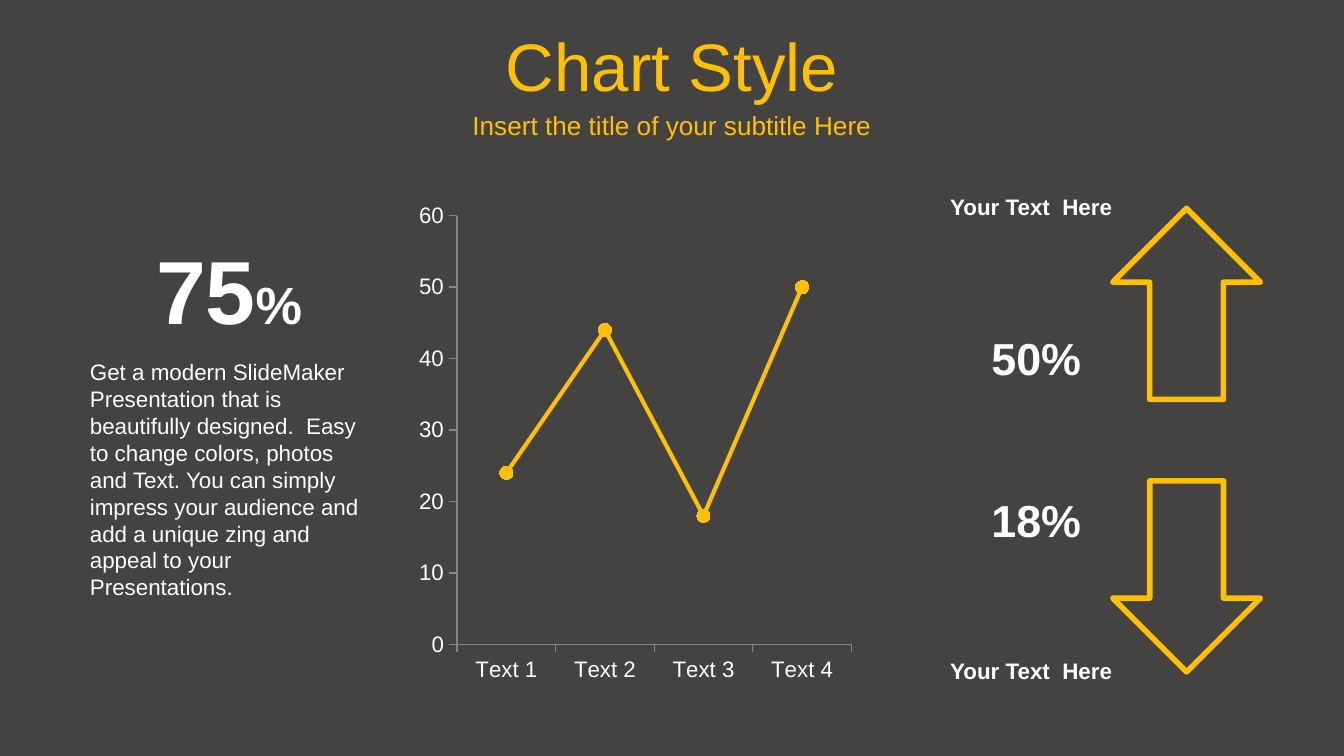
from lxml import etree
from pptx import Presentation
from pptx import util as u
from pptx.chart.data import CategoryChartData
from pptx.dml.color import RGBColor
from pptx.enum import chart as ch, shapes, text
from pptx.oxml import parse_xml
from pptx.oxml.ns import nsdecls, qn

THEME = {
    "font": "Arial",
    "back": RGBColor.from_string("444342"),
    "accent": RGBColor.from_string("FFC000"),
    "light": RGBColor.from_string("FFFFFF"),
    "axis": RGBColor.from_string("868686"),
    "title": 36, "subtitle": 14, "figure": 48, "unit": 28, "percent": 24, "body": 12,
}

# Content
TITLE = "Chart Style"
SUBTITLE = "Insert the title of your subtitle Here"
FIGURE, UNIT = "75", "%"
BODY = ("Get a modern SlideMaker Presentation that is beautifully designed.  Easy to "
        "change colors, photos and Text. You can simply impress your audience and add "
        "a unique zing and appeal to your Presentations.")
POINTS = {"Text 1": 24, "Text 2": 44, "Text 3": 18, "Text 4": 50}
# label, label top, percent, percent top, arrow top, arrow rotation (cm, degrees)
TRENDS = [
    ("Your Text  Here", 3.53, "50%", 6.12, 3.94, 0),
    ("Your Text  Here", 12.29, "18%", 9.19, 9.09, 180),
]
PLOT = {"x": 0.08, "y": 0.05, "w": 0.88, "h": 0.78}

CENTER, LEFT = text.PP_ALIGN.CENTER, text.PP_ALIGN.LEFT
MIDDLE, TOP = text.MSO_ANCHOR.MIDDLE, text.MSO_ANCHOR.TOP


def cm(*lengths):
    return [u.Cm(n) for n in lengths]


def style_font(font, size, color="light", bold=False):
    values = {"name": THEME["font"], "size": u.Pt(THEME[size]), "bold": bold}
    for name, value in values.items():
        setattr(font, name, value)
    font.color.rgb = THEME[color]


def write(sp, runs, color="light", bold=False, align=CENTER, anchor=TOP):
    tf = sp.text_frame
    frame = {"word_wrap": True, "vertical_anchor": anchor,
             "auto_size": text.MSO_AUTO_SIZE.NONE}
    for name, value in frame.items():
        setattr(tf, name, value)
    p = tf.paragraphs[0]
    p.alignment = align
    for words, size in runs:
        r = p.add_run()
        r.text = words
        style_font(r.font, size, color, bold)


def add_text(s, place, runs, **look):
    write(s.shapes.add_textbox(*cm(*place)), runs, **look)


def add_arrow(s, top, rotation):
    sp = s.shapes.add_shape(shapes.MSO_SHAPE.UP_ARROW, *cm(21.03, top, 2.79, 3.61))
    sp.rotation = rotation
    sp.shadow.inherit = False
    sp.fill.background()
    sp.line.color.rgb = THEME["accent"]
    sp.line.width = u.Pt(3)
    etree.SubElement(sp.line._get_or_add_ln(), qn("a:round"))


def add_line_chart(s):
    data = CategoryChartData()
    data.categories = list(POINTS)
    data.add_series("Series 1", list(POINTS.values()))
    chart = s.shapes.add_chart(ch.XL_CHART_TYPE.LINE_MARKERS,
                               *cm(7.92, 3.56, 8.51, 10.39), data).chart
    chart.has_legend = chart.has_title = False
    style_font(chart.font, "body")
    chart.plots[0].vary_by_categories = False

    # Series line and markers
    series = chart.plots[0].series[0]
    series.smooth = False
    series.format.line.color.rgb = THEME["accent"]
    series.format.line.width = u.Pt(2.25)
    marker = series.marker
    marker.style, marker.size = ch.XL_MARKER_STYLE.CIRCLE, 7
    marker.format.fill.solid()
    marker.format.fill.fore_color.rgb = THEME["accent"]
    marker.format.line.color.rgb = THEME["accent"]

    # Axes
    value_axis = chart.value_axis
    scale = {"minimum_scale": 0, "maximum_scale": 60, "major_unit": 10}
    for name, value in scale.items():
        setattr(value_axis, name, value)
    for axis in (chart.category_axis, value_axis):
        axis.has_major_gridlines = False
        axis.major_tick_mark = ch.XL_TICK_MARK.OUTSIDE
        axis.format.line.color.rgb = THEME["axis"]
        axis.format.line.width = u.Pt(0.75)
        style_font(axis.tick_labels.font, "body")

    # Fixed inner plot area
    area = chart._chartSpace.find(".//" + qn("c:plotArea"))
    for old in area.findall(qn("c:layout")):
        area.remove(old)
    modes = '<c:xMode val="edge"/><c:yMode val="edge"/>'
    sizes = "".join(f'<c:{k} val="{v}"/>' for k, v in PLOT.items())
    area.insert(0, parse_xml(
        f'<c:layout {nsdecls("c")}><c:manualLayout><c:layoutTarget val="inner"/>'
        f"{modes}{sizes}</c:manualLayout></c:layout>"))


def main():
    prs = Presentation()
    prs.slide_width, prs.slide_height = cm(25.4, 14.29)
    s = prs.slides.add_slide(prs.slide_layouts[5])
    s.background.fill.solid()
    s.background.fill.fore_color.rgb = THEME["back"]

    # Heading
    title = s.shapes.title
    title.left, title.top, title.width, title.height = cm(0, 0.43, 25.4, 1.6)
    write(title, [(TITLE, "title")], color="accent", anchor=MIDDLE)
    add_text(s, (0, 1.96, 25.4, 0.79), [(SUBTITLE, "subtitle")],
             color="accent", anchor=MIDDLE)

    # Chart
    add_line_chart(s)

    # Arrows with their percentages and labels
    for label, label_top, percent, percent_top, arrow_top, rotation in TRENDS:
        add_arrow(s, arrow_top, rotation)
        add_text(s, (18.29, percent_top, 2.59, 1.27), [(percent, "percent")],
                 bold=True, anchor=MIDDLE)
        add_text(s, (17.37, label_top, 4.24, 0.76), [(label, "body")], bold=True)

    # Key figure and description
    add_text(s, (2.54, 4.32, 3.58, 2.31), [(FIGURE, "figure"), (UNIT, "unit")], bold=True)
    add_text(s, (1.45, 6.65, 5.77, 4.88), [(BODY, "body")], align=LEFT)

    prs.save("out.pptx")


if __name__ == "__main__":
    main()
